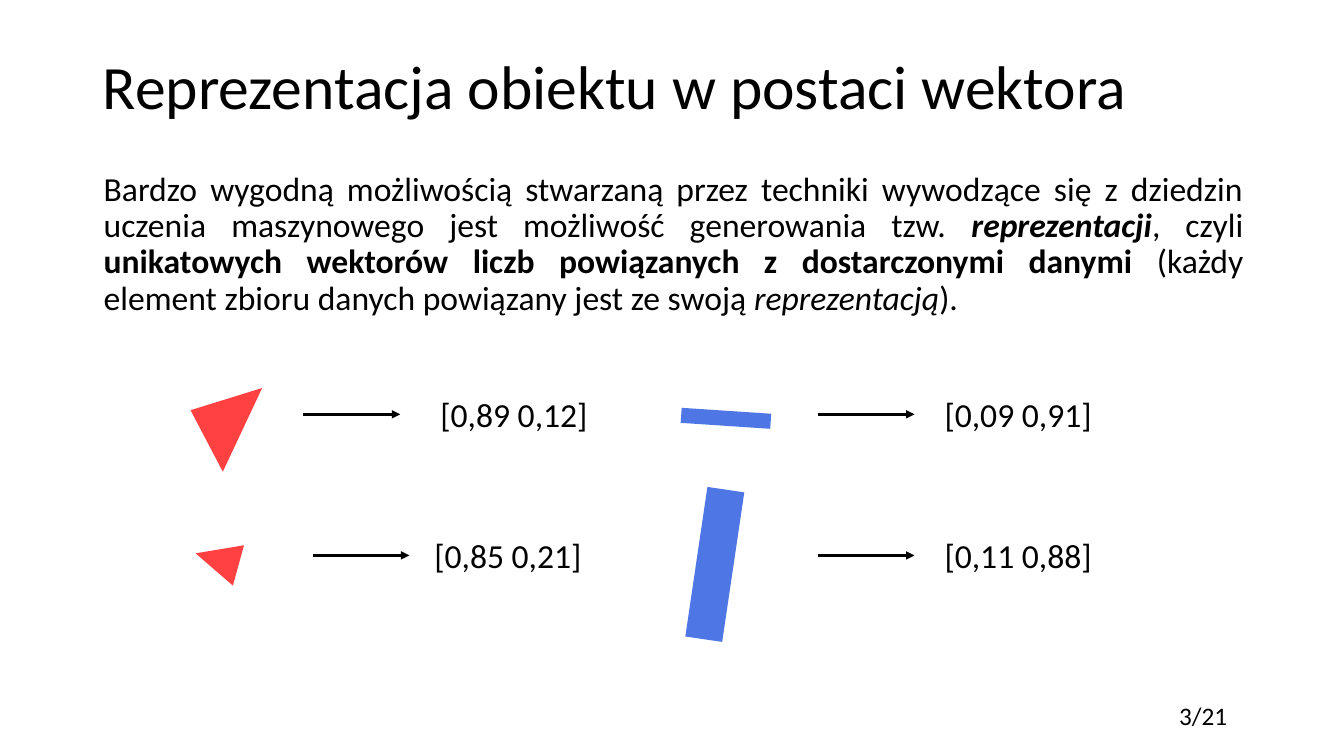
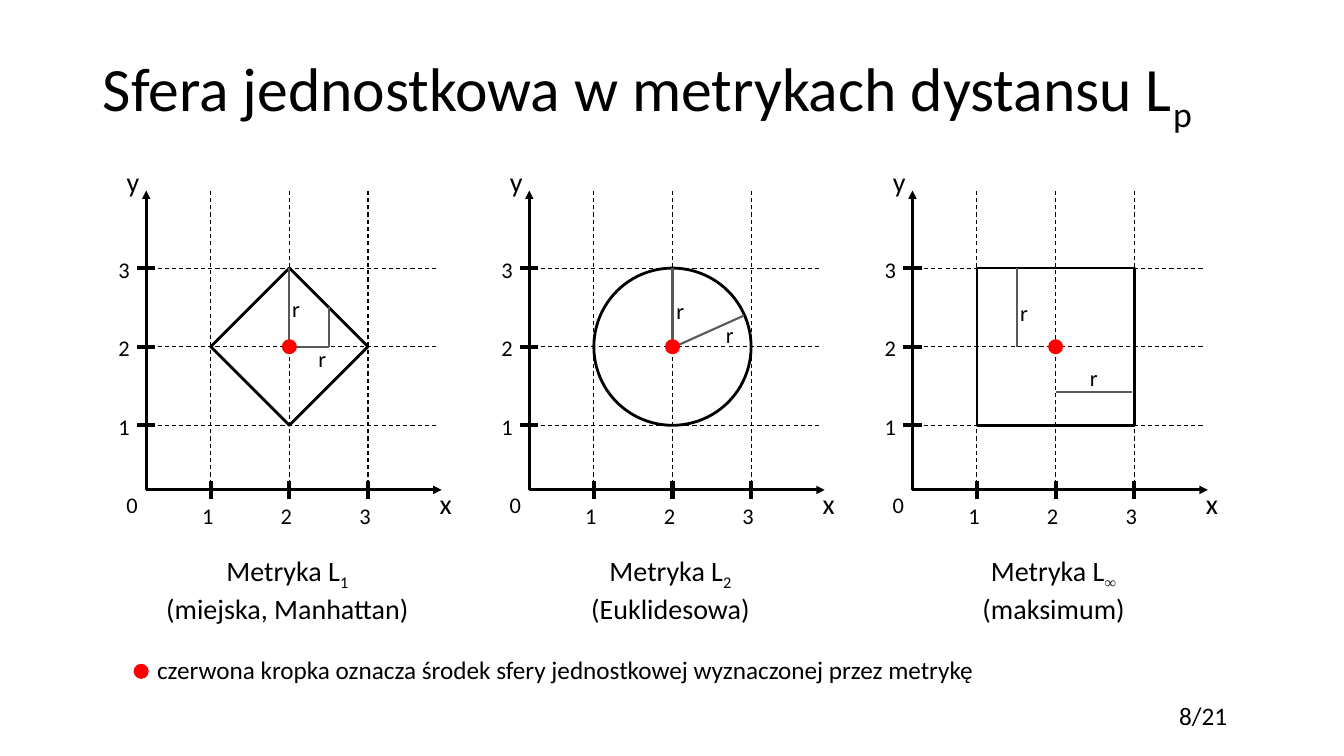
from pptx import Presentation
from pptx.dml.color import RGBColor
from pptx.enum.dml import MSO_LINE
from pptx.enum.shapes import MSO_CONNECTOR, MSO_SHAPE
from pptx.enum.text import MSO_ANCHOR, MSO_AUTO_SIZE, PP_ALIGN
from pptx.oxml.ns import qn
from pptx.oxml.xmlchemy import OxmlElement
from pptx.util import Inches, Pt

HUES = {"ink": "000000", "sign": "202122", "gray": "595959",
        "coral": "FF4141", "blue": "4E76E5", "red": "FF0000"}
FONT = "Calibri"
PAGES = 21
SUB = {"base": -25000}
BOLD = {"bold": True}
SLANT = {"italic": True}


def hue(name):
    return RGBColor.from_string(HUES[name])


class Deck:
    """Holds the shared style and the current slide."""

    def __init__(self):
        self.prs = Presentation()
        self.prs.slide_width = Inches(13.33)
        self.prs.slide_height = Inches(7.5)
        self.slide = None

    # Slide with title and page number
    def page(self, title, num):
        layout = self.prs.slide_layouts.get_by_name("Title Only")
        self.slide = self.prs.slides.add_slide(layout)
        head = self.slide.shapes.title
        place = {"left": 0.92, "top": 0.4, "width": 11.5, "height": 0.97}
        for key, val in place.items():
            setattr(head, key, Inches(val))
        head.text_frame.vertical_anchor = MSO_ANCHOR.MIDDLE
        self.fill(head.text_frame, [title], 44, line_spacing=0.9)
        self.text(11.45, 6.9, 0.82, 0.4, [[f"{num}/{PAGES}"]], 18,
                  alignment=PP_ALIGN.RIGHT)

    # Paragraphs are lists of runs: a string or (string, format)
    def fill(self, frame, paras, size, **form):
        frame.word_wrap = True
        frame.auto_size = MSO_AUTO_SIZE.NONE
        form = {"alignment": PP_ALIGN.LEFT, **form}
        for i, runs in enumerate(paras):
            para = frame.add_paragraph() if i else frame.paragraphs[0]
            for key, val in form.items():
                setattr(para, key, val)
            for item in runs:
                words, look = (item, {}) if isinstance(item, str) else item
                self.run(para, words, {"size": Pt(size), "name": FONT, **look})

    def run(self, para, words, look):
        run = para.add_run()
        run.text = words
        run.font.color.rgb = hue(look.get("hue", "ink"))
        if "base" in look:
            run._r.get_or_add_rPr().set("baseline", str(look["base"]))
        for key, val in look.items():
            if key not in ("hue", "base"):
                setattr(run.font, key, val)

    def text(self, x, y, w, h, paras, size, **form):
        box = self.slide.shapes.add_textbox(*map(Inches, (x, y, w, h)))
        self.fill(box.text_frame, paras, size, **form)

    # Text centred on a given x
    def label(self, mid, y, paras, size, w=0.4, h=0.37):
        self.text(mid - w / 2, y, w, h, paras, size,
                  alignment=PP_ALIGN.CENTER)

    # Preset shape centred on a point, filled or outlined
    def shape(self, kind, cx, cy, w, h, fill=None, turn=0):
        shp = self.slide.shapes.add_shape(
            kind, *map(Inches, (cx - w / 2, cy - h / 2, w, h)))
        shp.rotation = turn
        self.paint(shp, fill)

    def paint(self, shp, fill):
        shp.shadow.inherit = False
        if fill:
            shp.fill.solid()
            shp.fill.fore_color.rgb = hue(fill)
            shp.line.fill.background()
        else:
            shp.fill.background()
            shp.line.color.rgb = hue("ink")
            shp.line.width = Pt(2)

    def outline(self, points, fill):
        pts = [(Inches(x), Inches(y)) for x, y in points]
        pen = self.slide.shapes.build_freeform(*pts[0])
        pen.add_line_segments(pts[1:], close=True)
        self.paint(pen.convert_to_shape(), fill)

    def line(self, x1, y1, x2, y2, width=2, tint="ink", dash=None, tip=False):
        con = self.slide.shapes.add_connector(
            MSO_CONNECTOR.STRAIGHT, *map(Inches, (x1, y1, x2, y2)))
        con.line.color.rgb = hue(tint)
        con.line.width = Pt(width)
        if dash:
            con.line.dash_style = dash
        prop = con._element.spPr
        if tip:
            end = OxmlElement("a:tailEnd")
            end.set("type", "triangle")
            prop.find(qn("a:ln")).append(end)
        prop.append(OxmlElement("a:effectLst"))

    def dot(self, cx, cy):
        self.shape(MSO_SHAPE.OVAL, cx, cy, 0.15, 0.15, "red")

    # Coordinate system with its origin at (left, base)
    def axes(self, left, base, cols, rows):
        for n, (x, y) in enumerate(zip(cols, rows), 1):
            self.line(left - 0.03, y, left + 2.9, y, 0.75,
                      dash=MSO_LINE.DASH)
            self.line(x, 4.8, x, 1.87, 0.75, dash=MSO_LINE.DASH)
            self.line(x, base - 0.09, x, base + 0.09, 3)
            self.line(left - 0.09, y, left + 0.09, y, 3)
            self.label(x - 0.03, base + 0.07, [[str(n)]], 16)
            self.label(left - 0.22, y - 0.17, [[str(n)]], 16)
        self.line(left, base, left + 2.93, base, tip=True)
        self.line(left, base, left, 1.89, tip=True)
        self.label(left - 0.14, base - 0.04, [["0"]], 16)
        self.label(left + 2.97, base - 0.08, [["x"]], 20, h=0.44)
        self.label(left - 0.13, 1.58, [["y"]], 20, h=0.44)


def vectors(deck):
    deck.page(["Reprezentacja obiektu w postaci wektora"], 3)
    deck.text(0.93, 1.66, 11.5, 1.62, [[
        "Bardzo wygodną możliwością stwarzaną przez techniki wywodzące się "
        "z dziedzin uczenia maszynowego jest możliwość generowania tzw. ",
        ("reprezentacji", {**BOLD, **SLANT}),
        ", czyli ",
        ("unikatowych wektorów liczb powiązanych z dostarczonymi danymi ",
         BOLD),
        "(każdy element zbioru danych powiązany jest ze swoją ",
        ("reprezentacją", SLANT),
        ").",
    ]], 24, alignment=PP_ALIGN.JUSTIFY, line_spacing=0.9, space_before=Pt(10))

    # Objects
    deck.outline([(2.21, 4.68), (2.6, 3.85), (1.89, 4.07)], "coral")
    deck.outline([(1.94, 5.49), (2.31, 5.81), (2.42, 5.41)], "coral")
    deck.shape(MSO_SHAPE.RECTANGLE, 7.2, 4.15, 0.89, 0.15, "blue", 3.8)
    deck.shape(MSO_SHAPE.RECTANGLE, 7.09, 5.6, 0.37, 1.5, "blue", 8.4)

    # Arrows and vectors: arrow start, row, text left, text
    pairs = [(3.01, 4.11, 4.27, "[0,89 0,12]"),
             (3.1, 5.51, 4.21, "[0,85 0,21]"),
             (8.11, 4.11, 9.27, "[0,09 0,91]"),
             (8.11, 5.51, 9.27, "[0,11 0,88]")]
    for x, y, left, words in pairs:
        deck.line(x, y, x + 0.96, y, tip=True)
        deck.text(left, y - 0.25, 1.8, 0.5, [[words]], 24)


def spheres(deck):
    deck.page(["Sfera jednostkowa w metrykach dystansu L", ("p", SUB)], 8)
    unit, base = 0.78, 4.86
    rows = [4.22 - unit * i for i in range(3)]
    cy = rows[1]

    # Shape, index, name, radius lines and their labels (from the centre)
    plots = [
        (MSO_SHAPE.DIAMOND, ("1", SUB), "(miejska, Manhattan)",
         [(0, -0.07, 0, -unit), (0.39, 0, 0.39, -0.39), (0, 0, 0.39, 0)],
         [(-0.07, -0.56), (0.19, -0.06)]),
        (MSO_SHAPE.OVAL, ("2", SUB), "(Euklidesowa)",
         [(0, -0.07, 0, -unit), (0.02, 0, 0.71, -0.31)],
         [(-0.06, -0.54), (0.43, -0.3)]),
        (MSO_SHAPE.RECTANGLE,
         ("∞", {**SUB, "name": "Times New Roman", "hue": "sign"}),
         "(maksimum)",
         [(-0.38, 0, -0.38, -unit), (0, 0.45, 0.76, 0.45)],
         [(-0.45, -0.52), (0.24, 0.12)]),
    ]
    for i, (kind, mark, name, radii, tags) in enumerate(plots):
        left = 1.45 + 3.8 * i
        cols = [left + 0.64 + unit * n for n in range(3)]
        cx = cols[1]
        deck.axes(left, base, cols, rows)
        deck.shape(kind, cx, cy, 2 * unit, 2 * unit)
        for x1, y1, x2, y2 in radii:
            deck.line(cx + x1, cy + y1, cx + x2, cy + y2, 1.5, "gray")
        for x, y in tags:
            deck.text(cx + x, cy + y, 0.28, 0.37, [["r"]], 16)
        deck.dot(cx, cy)
        deck.label(left + 1.4, 5.44, [["Metryka L", mark], [name]], 20,
                   w=2.8, h=0.77)

    # Legend
    deck.dot(1.4, 6.66)
    deck.text(1.46, 6.44, 8.5, 0.4, [[
        "czerwona kropka oznacza środek sfery jednostkowej "
        "wyznaczonej przez metrykę"]], 18)


def main():
    deck = Deck()
    vectors(deck)
    spheres(deck)
    deck.prs.save("out.pptx")


if __name__ == "__main__":
    main()
